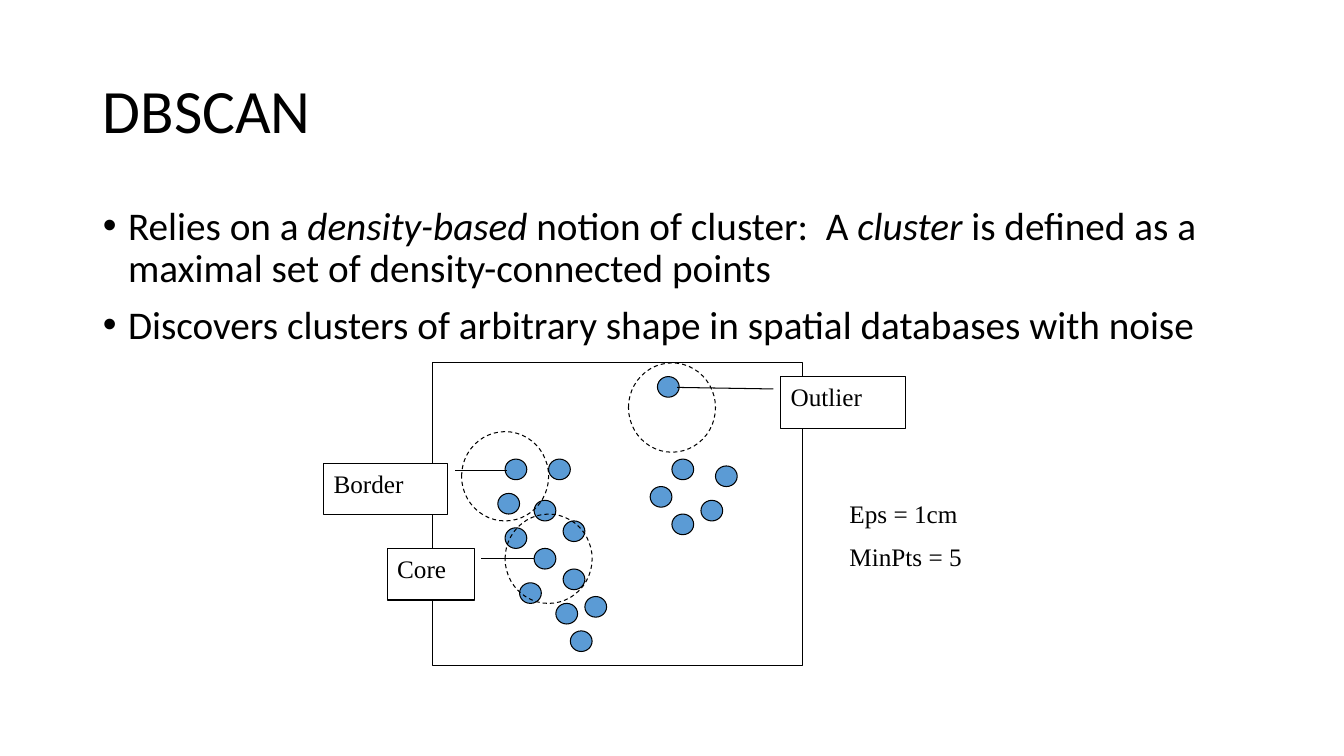
from dataclasses import dataclass

from pptx import Presentation, util as u
from pptx.dml.color import RGBColor
from pptx.enum import dml, shapes, text
from pptx.oxml import parse_xml
from pptx.oxml.ns import nsdecls


@dataclass(frozen=True)
class Theme:
    """Colours, fonts and type sizes of the slide."""
    ink: RGBColor = RGBColor(0, 0, 0)
    paper: RGBColor = RGBColor(255, 255, 255)
    dot: RGBColor = RGBColor(0x5B, 0x9B, 0xD5)
    font: str = "Calibri"
    label_font: str = "Times New Roman"
    title_size: int = 44
    body_size: int = 28
    label_size: int = 18
    line_width: float = 0.75


class ClusterSlide:
    """Holds the theme, the slide and the grid of the cluster diagram."""
    frame_left, frame_top = 4.29, 3.6
    frame_columns, frame_rows = 51, 44
    column = 3.67 / frame_columns
    row = 3 / frame_rows

    def __init__(self, deck, theme):
        """Add a title and body slide to the deck."""
        self.theme = theme
        self.page = deck.slides.add_slide(deck.slide_layouts[1])

    def area(self, left, top, columns, rows):
        """Turn diagram grid units into slide lengths."""
        return (u.Inches(self.frame_left + left * self.column),
                u.Inches(self.frame_top + top * self.row),
                u.Inches(columns * self.column), u.Inches(rows * self.row))

    def style_span(self, span, font, size, italic=False):
        """Format one run."""
        span.font.name, span.font.size = font, u.Pt(size)
        span.font.italic = italic
        span.font.color.rgb = self.theme.ink

    def place(self, box, top, height):
        """Move a placeholder to the shared text column."""
        box.left, box.top = u.Inches(0.92), u.Inches(top)
        box.width, box.height = u.Inches(11.5), u.Inches(height)
        box.text_frame.auto_size = text.MSO_AUTO_SIZE.NONE

    def title(self, words):
        """Fill the title placeholder."""
        box = self.page.shapes.title
        self.place(box, 0.4, 1.45)
        box.text_frame.text = words
        box.text_frame.vertical_anchor = text.MSO_ANCHOR.MIDDLE
        para = box.text_frame.paragraphs[0]
        para.alignment, para.line_spacing = text.PP_ALIGN.LEFT, 0.9
        self.style_span(para.runs[0], self.theme.font, self.theme.title_size)

    def bullets(self, items):
        """Fill the body; every second piece of an item is italic."""
        box = self.page.placeholders[1]
        self.place(box, 2, 4.76)
        frame = box.text_frame
        for index, pieces in enumerate(items):
            para = frame.add_paragraph() if index else frame.paragraphs[0]
            para.line_spacing, para.space_before = 0.9, u.Pt(10)
            settings = para._p.get_or_add_pPr()
            settings.set("marL", str(u.Inches(0.25)))
            settings.set("indent", str(-u.Inches(0.25)))
            settings.append(parse_xml(f'<a:buFont {nsdecls("a")} typeface="Arial"/>'))
            settings.append(parse_xml(f'<a:buChar {nsdecls("a")} char="•"/>'))
            for number, words in enumerate(pieces):
                span = para.add_run()
                span.text = words
                self.style_span(span, self.theme.font, self.theme.body_size,
                                italic=number % 2 == 1)

    def outline(self, kind, area, fill=None, dashed=False):
        """Draw a thin-lined shape on the grid, hollow unless filled."""
        shape = self.page.shapes.add_shape(kind, *self.area(*area))
        shape.shadow.inherit = False
        if fill is None:
            shape.fill.background()
        else:
            shape.fill.solid()
            shape.fill.fore_color.rgb = fill
        shape.line.color.rgb = self.theme.ink
        shape.line.width = u.Pt(self.theme.line_width)
        if dashed:
            shape.line.dash_style = dml.MSO_LINE.DASH
        return shape

    def frame(self):
        """Draw the border of the data space."""
        self.outline(shapes.MSO_SHAPE.RECTANGLE,
                     (0, 0, self.frame_columns, self.frame_rows))

    def dot(self, left, top):
        """Draw a data point."""
        self.outline(shapes.MSO_SHAPE.OVAL, (left, top, 3, 3), self.theme.dot)

    def ring(self, left, top):
        """Draw the dashed neighbourhood of a point."""
        self.outline(shapes.MSO_SHAPE.OVAL, (left, top, 12, 13), dashed=True)

    def label(self, box, lines):
        """Set left-aligned label text from the top of a box."""
        frame = box.text_frame
        frame.text = "\n".join(lines)
        frame.word_wrap = True
        frame.vertical_anchor = text.MSO_ANCHOR.TOP
        for para in frame.paragraphs:
            para.alignment = text.PP_ALIGN.LEFT
            self.style_span(para.runs[0], self.theme.label_font, self.theme.label_size)

    def callout(self, words, area, leader):
        """Draw a label whose leader runs to a point."""
        box = self.outline(shapes.MSO_SHAPE.LINE_CALLOUT_1, area, self.theme.paper)
        for index, value in enumerate(leader):
            box.adjustments[index] = value
        self.label(box, [words])

    def parameters(self, lines, area):
        """Put the parameter values beside the diagram."""
        box = self.page.shapes.add_textbox(*self.area(*area))
        self.label(box, lines)
        for para in box.text_frame.paragraphs:
            para.space_before = u.Pt(self.theme.label_size / 2)


LEFT_CLUSTER = [(10, 14), (9, 19), (14, 20), (16, 14), (18, 23), (10, 24), (14, 27),
                (12, 32), (17, 35), (19, 39), (18, 30), (21, 34)]
RIGHT_CLUSTER = [(33, 14), (30, 18), (37, 20), (39, 15), (33, 22)]
OUTLIER = (31, 2)
NEIGHBOURHOODS = [(4, 10), (10, 22), (27, 0)]
CALLOUTS = [
    ("Core", (-6.25, 27, 12, 7.5), (0.19, 1.08, 0.19, 1.69)),
    ("Border", (-15, 14.6, 17.1, 7.5), (0.15, 1.06, 0.15, 1.48)),
    ("Outlier", (48, 2, 17.2, 7.5), (0.24, -0.06, 0.21, -0.83)),
]

deck = Presentation()
deck.slide_width, deck.slide_height = u.Inches(13.33), u.Inches(7.5)
slide = ClusterSlide(deck, Theme())
slide.title("DBSCAN")
slide.bullets([
    ["Relies on a ", "density-based", " notion of cluster:  A ", "cluster",
     " is defined as a maximal set of density-connected points"],
    ["Discovers clusters of arbitrary shape in spatial databases with noise"],
])
for point in [*LEFT_CLUSTER, OUTLIER, *RIGHT_CLUSTER]:
    slide.dot(*point)
slide.frame()
for corner in NEIGHBOURHOODS:
    slide.ring(*corner)
for callout in CALLOUTS:
    slide.callout(*callout)
slide.parameters(["Eps = 1cm", "MinPts = 5"], (56.1, 19, 25, 16))
deck.save("out.pptx")
